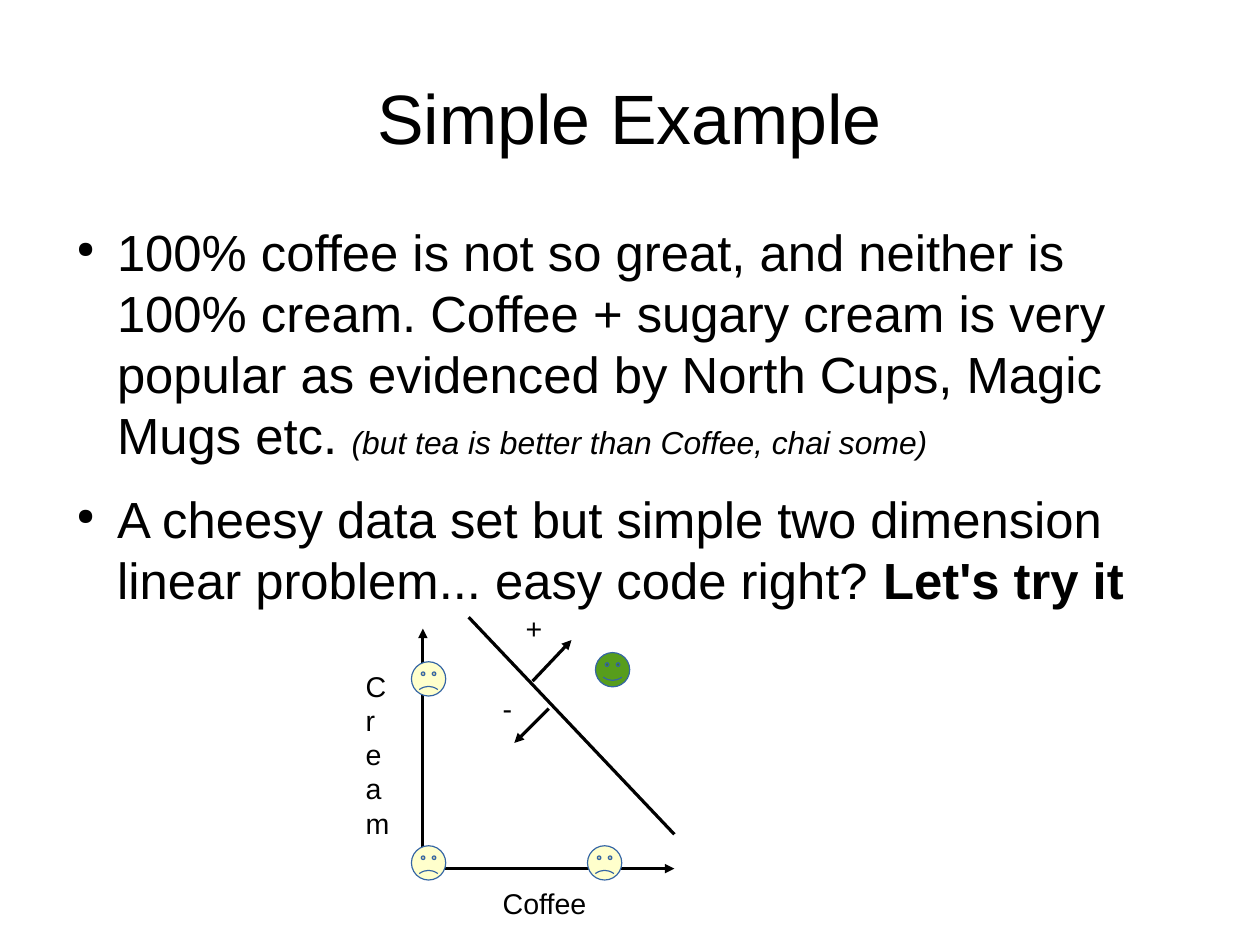
"""Build the coffee and cream slide with its linear classifier sketch."""
import dataclasses

import lxml.etree
import pptx
import pptx.dml.color
import pptx.enum.shapes
import pptx.enum.text
import pptx.oxml.ns
import pptx.util

Pt = pptx.util.Pt
Align = pptx.enum.text.PP_ALIGN
Anchor = pptx.enum.text.MSO_ANCHOR


@dataclasses.dataclass(frozen=True)
class Theme:
    """Hold the colours and type sizes of the slide."""
    font: str = "Arial"
    ink: str = "000000"
    outline: str = "3465A4"
    sad: str = "FFFFCC"
    happy: str = "579D1C"
    title: int = 44
    body: int = 32
    aside: int = 20
    label: int = 18


THEME = Theme()


def rgb(code):
    """Turn a hex code into a colour."""
    return pptx.dml.color.RGBColor.from_string(code)


def apply(target, values):
    """Set each named attribute on the target."""
    for name, value in values.items():
        setattr(target, name, value)


def add_child(parent, tag, **attributes):
    """Append a DrawingML element to the parent."""
    child = lxml.etree.SubElement(parent, pptx.oxml.ns.qn(tag))
    for name, value in attributes.items():
        child.set(name, str(value))
    return child


def add_bullet(para):
    """Give the paragraph a small round bullet and a hanging indent."""
    properties = para._p.get_or_add_pPr()
    for name, value in {"marL": Pt(34), "indent": Pt(-25.5)}.items():
        properties.set(name, str(value))
    add_child(add_child(properties, "a:buClr"), "a:srgbClr", val=THEME.ink)
    add_child(properties, "a:buSzPct", val=45000)
    add_child(properties, "a:buChar", char="●")


def add_text(shapes, place, paras, inset=(0, 0), wrap=True,
             anchor=Anchor.TOP, align=Align.LEFT, bullet_gap=None):
    """Add a text box; each paragraph lists (text, size, format) spans."""
    box = shapes.add_textbox(*map(Pt, place))
    frame = box.text_frame
    across, down = map(Pt, inset)
    apply(frame, {"word_wrap": wrap, "vertical_anchor": anchor,
                  "margin_left": across, "margin_right": across,
                  "margin_top": down, "margin_bottom": down})
    for index, spans in enumerate(paras):
        para = frame.add_paragraph() if index else frame.paragraphs[0]
        para.alignment = align
        if bullet_gap is not None:
            para.space_after = Pt(bullet_gap)
            add_bullet(para)
        for text, size, style in spans:
            span = para.add_run()
            span.text = text
            apply(span.font, {"name": THEME.font, "size": Pt(size), **style})
            span.font.color.rgb = rgb(THEME.ink)


def add_label(shapes, place, lines, wrap=True):
    """Add a diagram label with one paragraph per line."""
    add_text(shapes, place, [[(line, THEME.label, {})] for line in lines],
             inset=(7.2, 3.6), wrap=wrap)


def add_line(shapes, start, end, arrow=True):
    """Add a hairline, with an arrowhead at its end if asked."""
    line = shapes.add_connector(pptx.enum.shapes.MSO_CONNECTOR.STRAIGHT,
                                *map(Pt, start + end))
    line.line.width = Pt(0)
    line.line.color.rgb = rgb(THEME.ink)
    if arrow:
        add_child(line.line._get_or_add_ln(), "a:tailEnd", type="triangle")
    add_child(line._element.spPr, "a:effectLst")


def add_face(shapes, left, top, colour, mouth):
    """Add a face whose mouth curves up or down."""
    face = shapes.add_shape(pptx.enum.shapes.MSO_SHAPE.SMILEY_FACE,
                            *map(Pt, (left, top, 21.6, 21.6)))
    face.shadow.inherit = False
    face.adjustments[0] = mouth
    face.fill.solid()
    face.fill.fore_color.rgb = rgb(colour)
    face.line.width = Pt(0)
    face.line.color.rgb = rgb(THEME.outline)


def add_plot(shapes):
    """Draw the axes, their labels and the four tasters."""
    origin = (266.4, 547.2)
    for end in ((424.8, 547.2), (266.4, 396)):
        add_line(shapes, origin, end)
    add_label(shapes, (309.6, 554.4, 67, 27.4), ["Coffee"], wrap=False)
    add_label(shapes, (223.2, 417.6, 43.2, 108), "Cream")
    for left, top in ((259.2, 532.8), (370.1, 532.8), (259.2, 416.9)):
        add_face(shapes, left, top, THEME.sad, -0.093)
    add_face(shapes, 375.1, 411.1, THEME.happy, 0.093)


def add_boundary(shapes):
    """Draw the dividing line with its positive and negative sides."""
    add_line(shapes, (295.2, 388.8), (424.8, 525.6), arrow=False)
    add_line(shapes, (335.5, 429.1), (360, 403.2))
    add_line(shapes, (345.6, 446.4), (324, 468))
    add_label(shapes, (324, 381.6, 21.6, 27.4), "+")
    add_label(shapes, (309.6, 432, 14.4, 27.4), "-")


def main():
    """Build and save the deck."""
    deck = pptx.Presentation()
    apply(deck, {"slide_width": Pt(793.7), "slide_height": Pt(595.3)})
    page = deck.slides.add_slide(deck.slide_layouts[6])
    add_text(page.shapes, (39.7, 23.7, 714.3, 99.4),
             [[("Simple Example", THEME.title, {})]],
             anchor=Anchor.MIDDLE, align=Align.CENTER)
    add_text(page.shapes, (39.7, 139.2, 714.3, 345), [
        [("100% coffee is not so great, and neither is 100% cream. Coffee + "
          "sugary cream is very popular as evidenced by North Cups, Magic "
          "Mugs etc. ", THEME.body, {}),
         ("(but tea is better than Coffee, chai some)", THEME.aside,
          {"italic": True})],
        [("A cheesy data set but simple two dimension linear problem... "
          "easy code right? ", THEME.body, {}),
         ("Let's try it", THEME.body, {"bold": True})],
    ], bullet_gap=14.2)
    add_plot(page.shapes)
    add_boundary(page.shapes.add_group_shape().shapes)
    deck.save("out.pptx")


if __name__ == "__main__":
    main()
